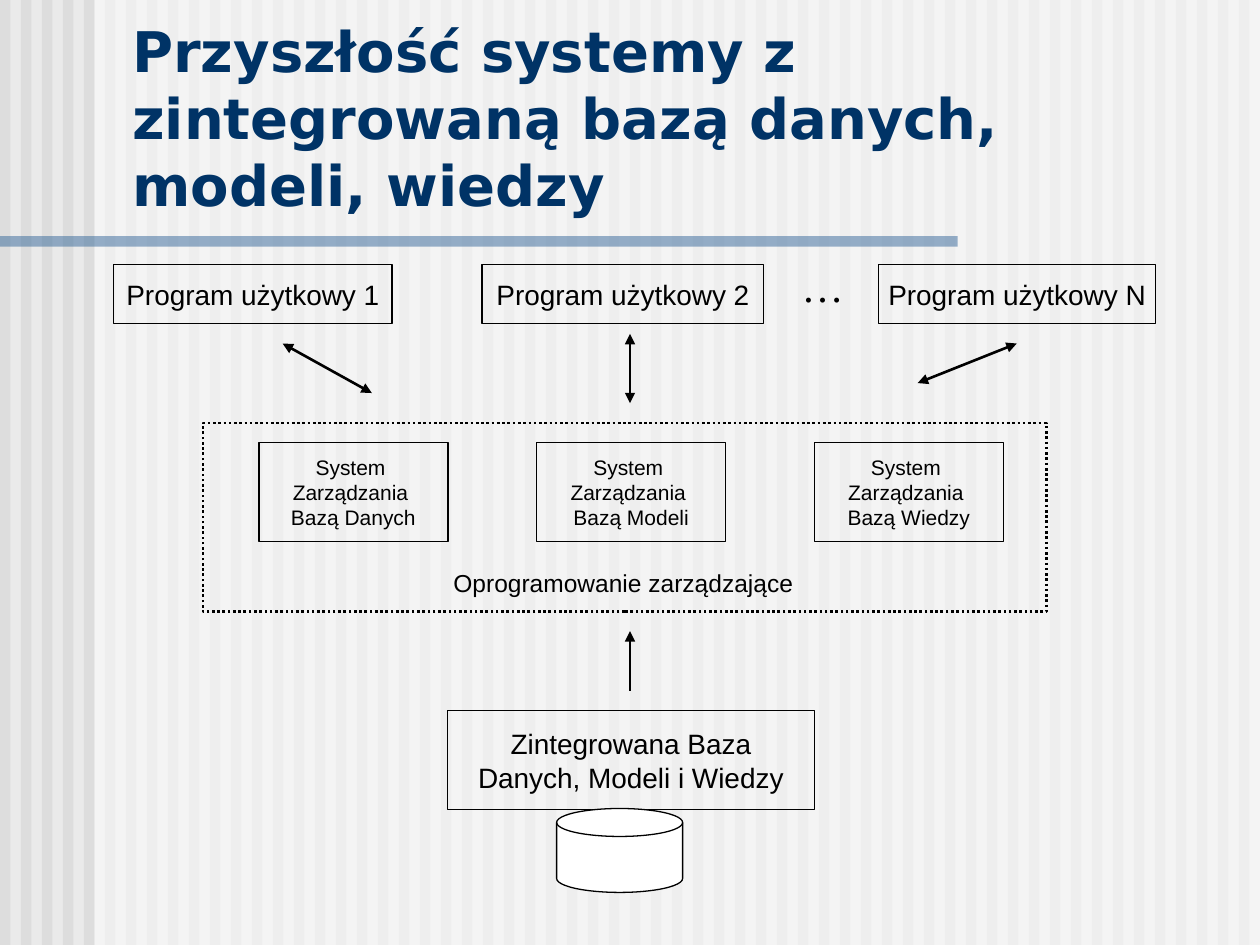
import pptx
import pptx.util
from lxml import etree
from pptx.dml.color import RGBColor
from pptx.enum.dml import MSO_LINE
from pptx.enum.shapes import MSO_CONNECTOR, MSO_SHAPE
from pptx.enum.text import MSO_ANCHOR, MSO_AUTO_SIZE, PP_ALIGN
from pptx.oxml.ns import qn

Pt = pptx.util.Pt
COLORS = {
    "ground": "EAEAEA",
    "stripe": "DDDDDD",
    "white": "FFFFFF",
    "rule": "336699",
    "title": "003366",
    "ink": "000000",
}


def rgb(name):
    return RGBColor.from_string(COLORS[name])


def write(tf, text, size, font="Arial", color="ink", bold=False, align=PP_ALIGN.LEFT,
          anchor=MSO_ANCHOR.TOP, wrap=True):
    """Put each line of text in its own paragraph with the given format."""
    tf.word_wrap = wrap
    tf.auto_size = MSO_AUTO_SIZE.NONE
    tf.vertical_anchor = anchor
    for i, line in enumerate(text.split("\n")):
        p = tf.add_paragraph() if i else tf.paragraphs[0]
        p.alignment = align
        r = p.add_run()
        r.text = line
        r.font.size, r.font.name, r.font.bold = Pt(size), font, bold
        r.font.color.rgb = rgb(color)


def add_box(shapes, box, kind=MSO_SHAPE.RECTANGLE, fill=None, alpha=None, line=None):
    sp = shapes.add_shape(kind, *map(Pt, box))
    sp.shadow.inherit = False
    if fill:
        sp.fill.solid()
        sp.fill.fore_color.rgb = rgb(fill)
    else:
        sp.fill.background()
    if alpha:
        clr = next(sp._element.spPr.iter(qn("a:srgbClr")))
        etree.SubElement(clr, qn("a:alpha")).set("val", str(alpha * 1000))
    if line:
        sp.line.width = Pt(line)
        sp.line.color.rgb = rgb("ink")
    else:
        sp.line.fill.background()
    return sp


def add_label_box(s, box, text, size):
    sp = add_box(s.shapes, box, line=0.75)
    write(sp.text_frame, text, size, align=PP_ALIGN.CENTER,
          anchor=MSO_ANCHOR.MIDDLE, wrap=False)


def add_text(s, box, text, size, **fmt):
    write(s.shapes.add_textbox(*map(Pt, box)).text_frame, text, size, **fmt)


def add_arrow(s, start, end, ends=("headEnd", "tailEnd")):
    cn = s.shapes.add_connector(MSO_CONNECTOR.STRAIGHT, *map(Pt, start + end))
    cn.line.width = Pt(1.5)
    cn.line.color.rgb = rgb("ink")
    for tag in ends:
        etree.SubElement(cn.line._get_or_add_ln(), qn(f"a:{tag}")).set("type", "triangle")
    etree.SubElement(cn._element.spPr, qn("a:effectLst"))


def add_backdrop(s, box):
    """Striped ground, pale panel and title rule, all behind the title."""
    x, y, w, h = box
    s.background.fill.solid()
    s.background.fill.fore_color.rgb = rgb("ground")
    group = s.shapes.add_group_shape()
    for i in range(60):
        add_box(group.shapes, (x + i * w / 60, y, 6, h), fill="stripe")
    add_box(group.shapes, (x + 54, y, w - 54, h), fill="white", alpha=50)
    add_box(group.shapes, (x, y + 135, 547.2, 6), fill="rule", alpha=50)
    s.shapes._spTree.insert(2, group._element)


def add_title(s, box):
    title = s.shapes.title
    title.left, title.top, title.width, title.height = map(Pt, box)
    write(title.text_frame, "Przyszłość systemy z zintegrowaną bazą danych, modeli, wiedzy",
          32, font="DejaVu Sans", color="title", bold=True, anchor=MSO_ANCHOR.BOTTOM)


def add_programs(s, box):
    x, y, w, h = box
    for dx, width, name in ((0, 159, "1"), (210.5, 161, "2"), (437, 158.5, "N")):
        add_label_box(s, (x + dx, y, width, h), f"Program użytkowy {name}", 16)
    add_text(s, (x + 386, y - 5.5, 39.6, 36), "…", 24, font="Times New Roman")


def add_management(s, box):
    x, y, w, h = box
    for i, base in enumerate(("Danych", "Modeli", "Wiedzy")):
        add_label_box(s, (x + 32 + i * 158.7, y + 11, 108, 56.7),
                      f"System \nZarządzania \nBazą {base}", 12)
    frame = add_box(s.shapes, box, line=1.5)
    frame.line.dash_style = MSO_LINE.ROUND_DOT
    add_text(s, (x + 136, y + 79, 238.3, 24.5), "Oprogramowanie zarządzające", 14)


def add_database(s, box):
    x, y, w, h = box
    add_label_box(s, (x, y, w, 56.7), "Zintegrowana Baza\nDanych, Modeli i Wiedzy", 16)
    add_box(s.shapes, (x + 62.5, y + 56, 72, h - 56), fill="white", line=0.75,
            kind=MSO_SHAPE.FLOWCHART_MAGNETIC_DISK)


def add_arrows(s):
    add_arrow(s, (161.5, 196.3), (212.5, 224.6))
    add_arrow(s, (360, 190.8), (360, 230.4))
    add_arrow(s, (524.4, 218.9), (581, 196.3))
    add_arrow(s, (360, 360.7), (360, 394.6), ends=("headEnd",))


def main():
    prs = pptx.Presentation()
    prs.slide_width, prs.slide_height = Pt(720), Pt(540)
    s = prs.slides.add_slide(prs.slide_layouts[5])
    add_backdrop(s, (0, 0, 720, 540))
    add_title(s, (68.4, 5.8, 643, 122.4))
    add_programs(s, (65, 151, 595.5, 34))
    add_management(s, (116, 241.8, 482, 107.8))
    add_database(s, (255.6, 406, 209.8, 104))
    add_arrows(s)
    prs.save("out.pptx")


if __name__ == "__main__":
    main()
